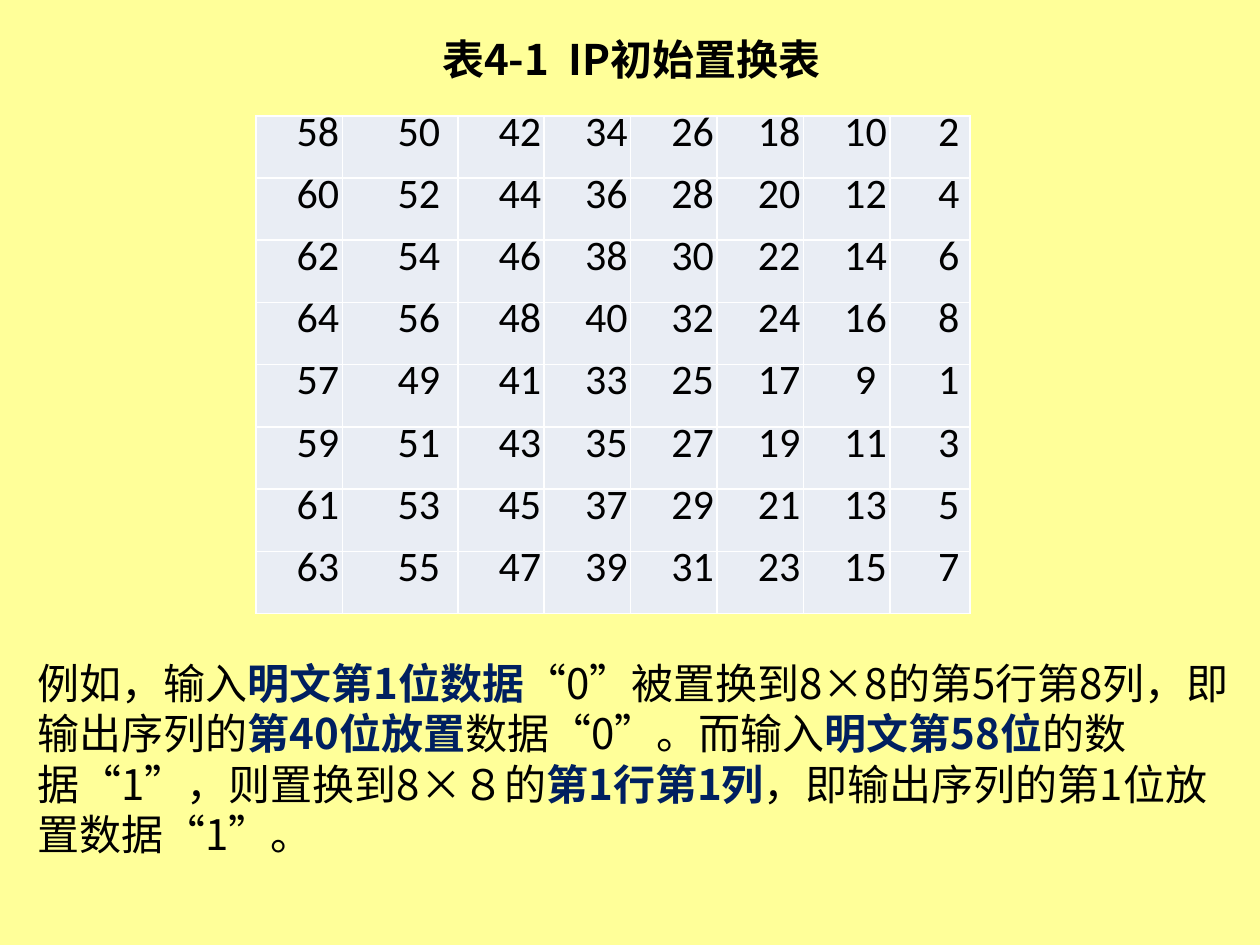
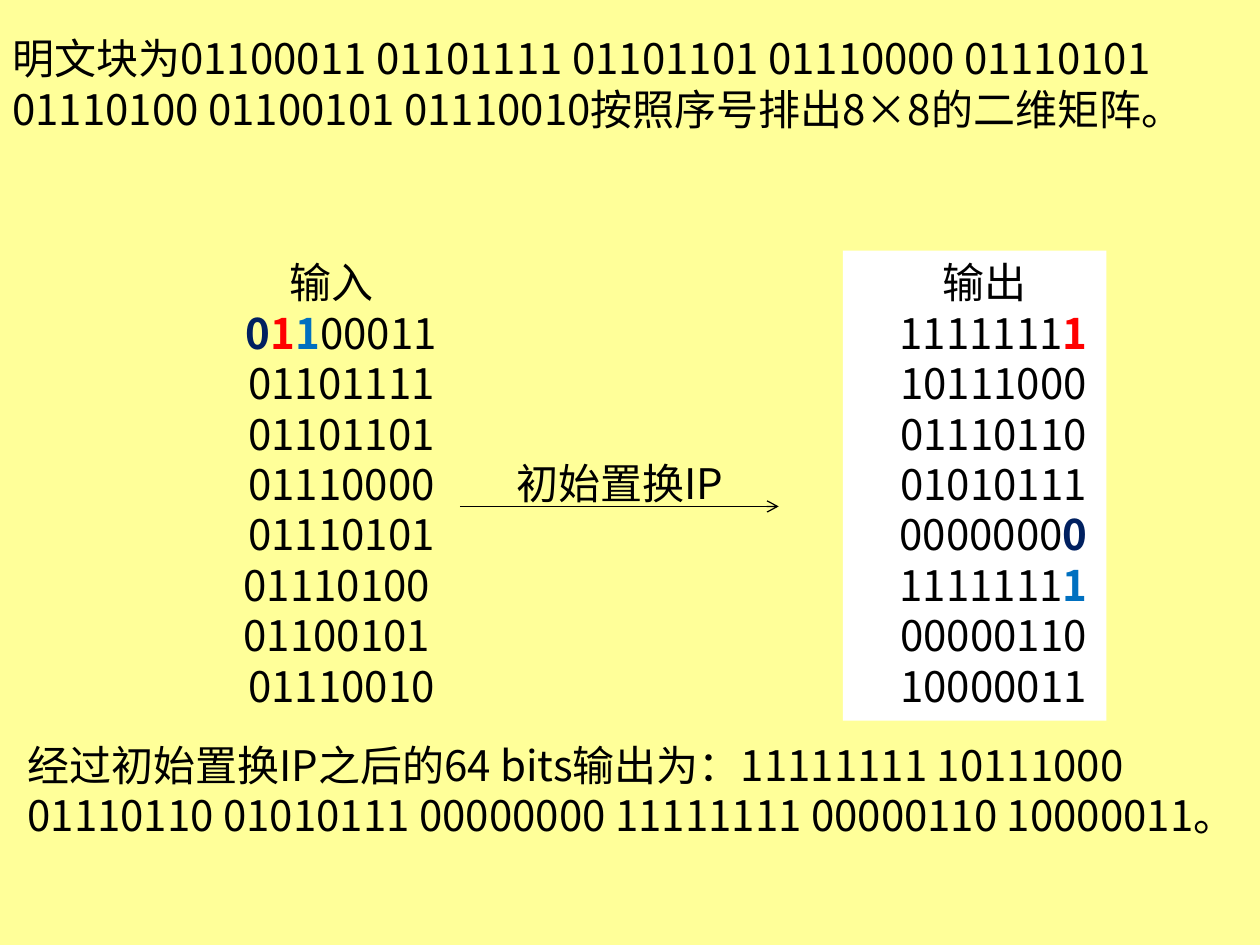
from pptx import Presentation
from pptx.dml.color import RGBColor
from pptx.enum.shapes import MSO_CONNECTOR, MSO_SHAPE
from pptx.enum.text import MSO_ANCHOR, PP_ALIGN
from pptx.oxml.ns import qn
from pptx.util import Pt
from lxml import etree

LEFT, CENTER, JUSTIFY = PP_ALIGN.LEFT, PP_ALIGN.CENTER, PP_ALIGN.JUSTIFY
TOP, MIDDLE = MSO_ANCHOR.TOP, MSO_ANCHOR.MIDDLE
STRAIGHT, RECTANGLE = MSO_CONNECTOR.STRAIGHT, MSO_SHAPE.RECTANGLE

# Shared style
YELLOW, CELL, WHITE, BLACK = "FFFF99", "E9EDF4", "FFFFFF", "000000"
NAVY, RED, BLUE = "002060", "FF0000", "0070C0"
TEXT_FONT, TABLE_FONT, SIZE = "Noto Sans CJK SC", "Calibri", 24
HEADING_INDENT, BODY_INDENT = 10.8, 21.6

# Content: a run is plain text, or (text, colour) for bold highlighted text
TITLE = "表4-1  IP初始置换表"
INITIAL_PERMUTATION = [
    [58, 50, 42, 34, 26, 18, 10, 2],
    [60, 52, 44, 36, 28, 20, 12, 4],
    [62, 54, 46, 38, 30, 22, 14, 6],
    [64, 56, 48, 40, 32, 24, 16, 8],
    [57, 49, 41, 33, 25, 17, 9, 1],
    [59, 51, 43, 35, 27, 19, 11, 3],
    [61, 53, 45, 37, 29, 21, 13, 5],
    [63, 55, 47, 39, 31, 23, 15, 7],
]
COLUMN_WIDTHS = [49.4, 66, 49.4, 49.4, 49.4, 49.4, 49.4, 45.8]
ROW_HEIGHT = 35.55
EXAMPLE = [
    "例如，输入", ("明文第1位数据", NAVY),
    "“0”被置换到8×8的第5行第8列，即输出序列的", ("第40位放置", NAVY),
    "数据“0”。而输入", ("明文第58位", NAVY),
    "的数据“1”，则置换到8×８的", ("第1行第1列", NAVY),
    "，即输出序列的第1位放置数据“1”。",
]
PLAINTEXT = ["明文块为01100011 01101111 01101101 01110000 01110101 "
             "01110100 01100101 01110010按照序号排出8×8的二维矩阵。"]
RESULT = ["经过初始置换IP之后的64 bits输出为：11111111 10111000 "
          "01110110 01010111 00000000 11111111 00000110 10000011。"]
INPUT_MATRIX = [
    ["输入"],
    [("0", NAVY), ("1", RED), ("1", BLUE), "00011"],
    ["01101111"], ["01101101"], ["01110000"], ["01110101"],
    ["01110100 "], ["01100101 "], ["01110010"],
]
OUTPUT_MATRIX = [
    ["输出"],
    ["1111111", ("1", RED)],
    ["10111000"], ["01110110"], ["01010111"],
    ["0000000", ("0", NAVY)],
    ["1111111", ("1", BLUE)],
    ["00000110"], ["10000011"],
]
MATRIX_INDENTS = [HEADING_INDENT] + [BODY_INDENT] * 8


def color(value):
    return RGBColor.from_string(value)


def write_paragraph(paragraph, runs, align=LEFT, indent=0, font=TEXT_FONT):
    paragraph.alignment = align
    properties = paragraph._p.get_or_add_pPr()
    properties.set("marL", "0")
    properties.set("indent", str(Pt(indent)))
    for item in runs:
        text, highlight = (item, None) if isinstance(item, str) else item
        run = paragraph.add_run()
        run.text = text
        run.font.name = font
        run.font.size = Pt(SIZE)
        run.font.bold = highlight is not None
        run.font.color.rgb = color(highlight or BLACK)
        east_asian = etree.SubElement(run._r.get_or_add_rPr(), qn("a:ea"))
        east_asian.set("typeface", TEXT_FONT)


def add_text(slide, box, paragraphs, align=LEFT, indents=(0,), anchor=TOP, fill=None):
    lengths = [Pt(value) for value in box]
    if fill:
        shape = slide.shapes.add_shape(RECTANGLE, *lengths)
        shape.shadow.inherit = False
        shape.fill.solid()
        shape.fill.fore_color.rgb = color(fill)
        shape.line.fill.background()
    else:
        shape = slide.shapes.add_textbox(*lengths)
    frame = shape.text_frame
    frame.word_wrap = True
    frame.vertical_anchor = anchor
    for number, (runs, indent) in enumerate(zip(paragraphs, indents)):
        paragraph = frame.add_paragraph() if number else frame.paragraphs[0]
        write_paragraph(paragraph, runs, align, indent)


def add_permutation_table(slide, left, top):
    rows, columns = len(INITIAL_PERMUTATION), len(COLUMN_WIDTHS)
    table = slide.shapes.add_table(rows, columns, Pt(left), Pt(top),
                                   Pt(sum(COLUMN_WIDTHS)), Pt(rows * ROW_HEIGHT)).table
    table.first_row = table.horz_banding = False
    for column, width in zip(table.columns, COLUMN_WIDTHS):
        column.width = Pt(width)
    for row, numbers in zip(table.rows, INITIAL_PERMUTATION):
        row.height = Pt(ROW_HEIGHT)
        for cell, number in zip(row.cells, numbers):
            cell.fill.solid()
            cell.fill.fore_color.rgb = color(CELL)
            cell.margin_left = cell.margin_right = cell.margin_top = cell.margin_bottom = 0
            cell.vertical_anchor = MIDDLE
            paragraph = cell.text_frame.paragraphs[0]
            paragraph.line_spacing = Pt(12)
            write_paragraph(paragraph, [str(number)], CENTER, BODY_INDENT, TABLE_FONT)


def add_arrow(slide, start_x, end_x, y):
    arrow = slide.shapes.add_connector(STRAIGHT, Pt(start_x), Pt(y), Pt(end_x), Pt(y))
    arrow.line.color.rgb = color(BLACK)
    arrow.line.width = Pt(0.75)
    etree.SubElement(arrow.line._get_or_add_ln(), qn("a:tailEnd")).set("type", "arrow")
    etree.SubElement(arrow._element.spPr, qn("a:effectLst"))


def add_slide(presentation):
    slide = presentation.slides.add_slide(presentation.slide_layouts[6])
    slide.background.fill.solid()
    slide.background.fill.fore_color.rgb = color(YELLOW)
    return slide


def main():
    presentation = Presentation()
    presentation.slide_width, presentation.slide_height = Pt(720), Pt(540)

    # Permutation table with a worked example
    slide = add_slide(presentation)
    add_permutation_table(slide, 146.2, 66.2)
    add_text(slide, (83.5, 15.1, 532.8, 36.7), [[(TITLE, BLACK)]],
             CENTER, [BODY_INDENT], MIDDLE)
    add_text(slide, (14.4, 372.2, 697.7, 123.8), [EXAMPLE])

    # Input matrix permuted into the output matrix
    slide = add_slide(presentation)
    add_text(slide, (105.8, 143.3, 157, 227.5), INPUT_MATRIX, CENTER, MATRIX_INDENTS)
    add_text(slide, (481.7, 143.3, 150.5, 268.6), OUTPUT_MATRIX, CENTER,
             MATRIX_INDENTS, fill=WHITE)
    add_arrow(slide, 262.8, 445, 289.4)
    add_text(slide, (288, 257.8, 182.2, 41.8), [["初始置换IP"]], JUSTIFY)
    add_text(slide, (8.6, 419, 711.4, 94.3), [RESULT])
    add_text(slide, (0, 15.1, 720, 65.5), [PLAINTEXT])

    presentation.save("out.pptx")


if __name__ == "__main__":
    main()
